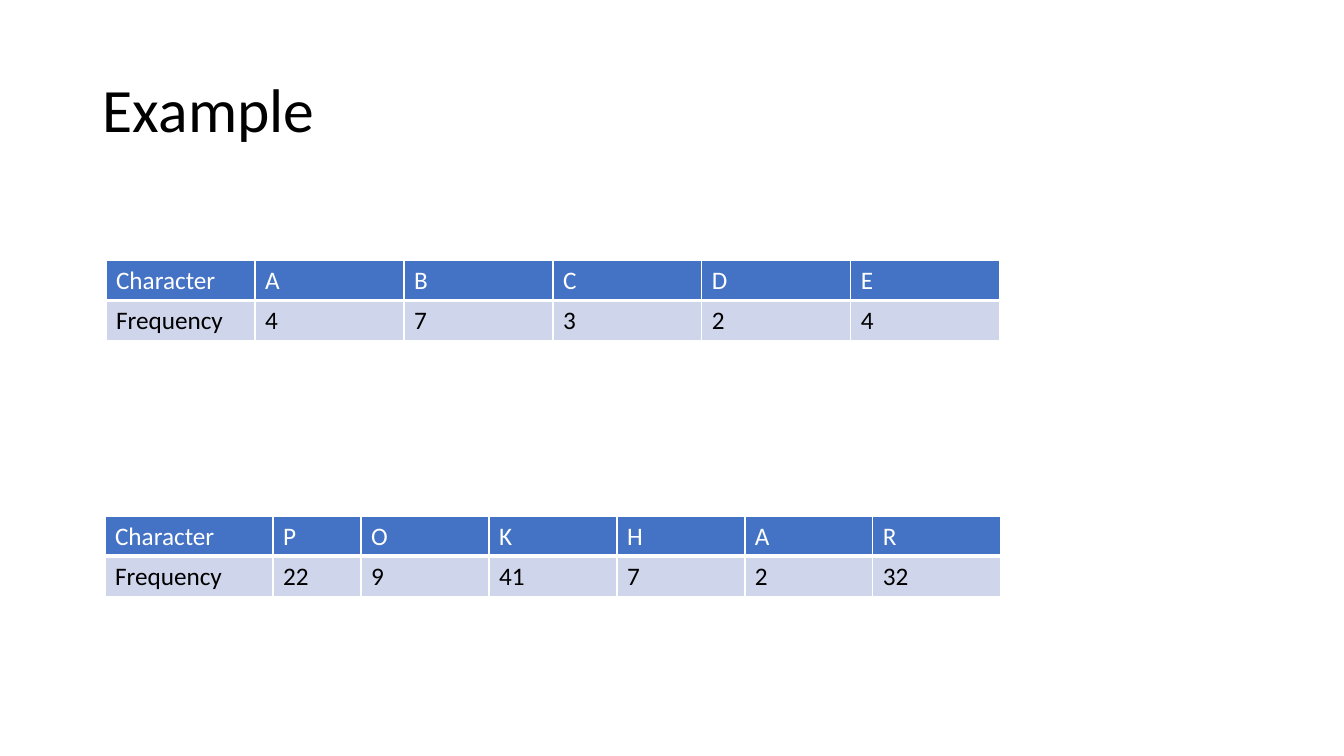
"""Build a slide with two character frequency tables."""
from lxml.etree import SubElement
from pptx import Presentation
from pptx.dml.color import RGBColor
from pptx.enum.text import MSO_ANCHOR
from pptx.oxml.ns import qn
from pptx.util import Pt

SCALE = 914400 / 100.8
BLACK = RGBColor(0x00, 0x00, 0x00)
WHITE = RGBColor(0xFF, 0xFF, 0xFF)
BLUE = RGBColor(0x44, 0x72, 0xC4)
PALE = RGBColor(0xCF, 0xD5, 0xEA)
ROW = 40


def px(size):
    return round(size * SCALE)


def add_run(para, text, size, color):
    run = para.add_run()
    run.text = text
    font = run.font
    font.name = "Calibri"
    font.size = Pt(size)
    font.bold = False
    font.color.rgb = color


def add_title(slide, text, left, top, width, height):
    frame = slide.shapes.add_textbox(px(left), px(top), px(width), px(height)).text_frame
    frame.word_wrap = True
    frame.vertical_anchor = MSO_ANCHOR.MIDDLE
    para = frame.paragraphs[0]
    para.line_spacing = 0.9
    add_run(para, text, 44, BLACK)


def add_edges(cell, base):
    props = cell._tc.get_or_add_tcPr()
    for side, width in (("L", 1), ("R", 1), ("T", 1), ("B", base)):
        line = SubElement(props, qn(f"a:ln{side}"), w=str(Pt(width)))
        fill = SubElement(line, qn("a:solidFill"))
        SubElement(fill, qn("a:srgbClr"), val=str(WHITE))


def add_grid(slide, left, top, widths, counts):
    rows = (
        (["Character"] + [char for char, count in counts], BLUE, WHITE, 3),
        (["Frequency"] + [str(count) for char, count in counts], PALE, BLACK, 1),
    )
    table = slide.shapes.add_table(
        len(rows), len(widths), px(left), px(top), px(sum(widths)), px(ROW * len(rows))
    ).table
    table.first_row = table.horz_banding = False
    for col, width in zip(table.columns, widths):
        col.width = px(width)
    for row, (texts, back, ink, base) in zip(table.rows, rows):
        row.height = px(ROW)
        for cell, text in zip(row.cells, texts):
            add_edges(cell, base)
            cell.fill.solid()
            cell.fill.fore_color.rgb = back
            add_run(cell.text_frame.paragraphs[0], text, 18, ink)


def main():
    deck = Presentation()
    deck.slide_width = px(1344)
    deck.slide_height = px(756)
    slide = deck.slides.add_slide(deck.slide_layouts[6])
    add_title(slide, "Example", 93, 40, 1159, 146)
    pokhar = [("P", 22), ("O", 9), ("K", 41), ("H", 7), ("A", 2), ("R", 32)]
    add_grid(slide, 105, 516, [168, 88] + [128] * 5, pokhar)
    letters = [("A", 4), ("B", 7), ("C", 3), ("D", 2), ("E", 4)]
    add_grid(slide, 106, 260, [149] * 6, letters)
    deck.save("out.pptx")


if __name__ == "__main__":
    main()
